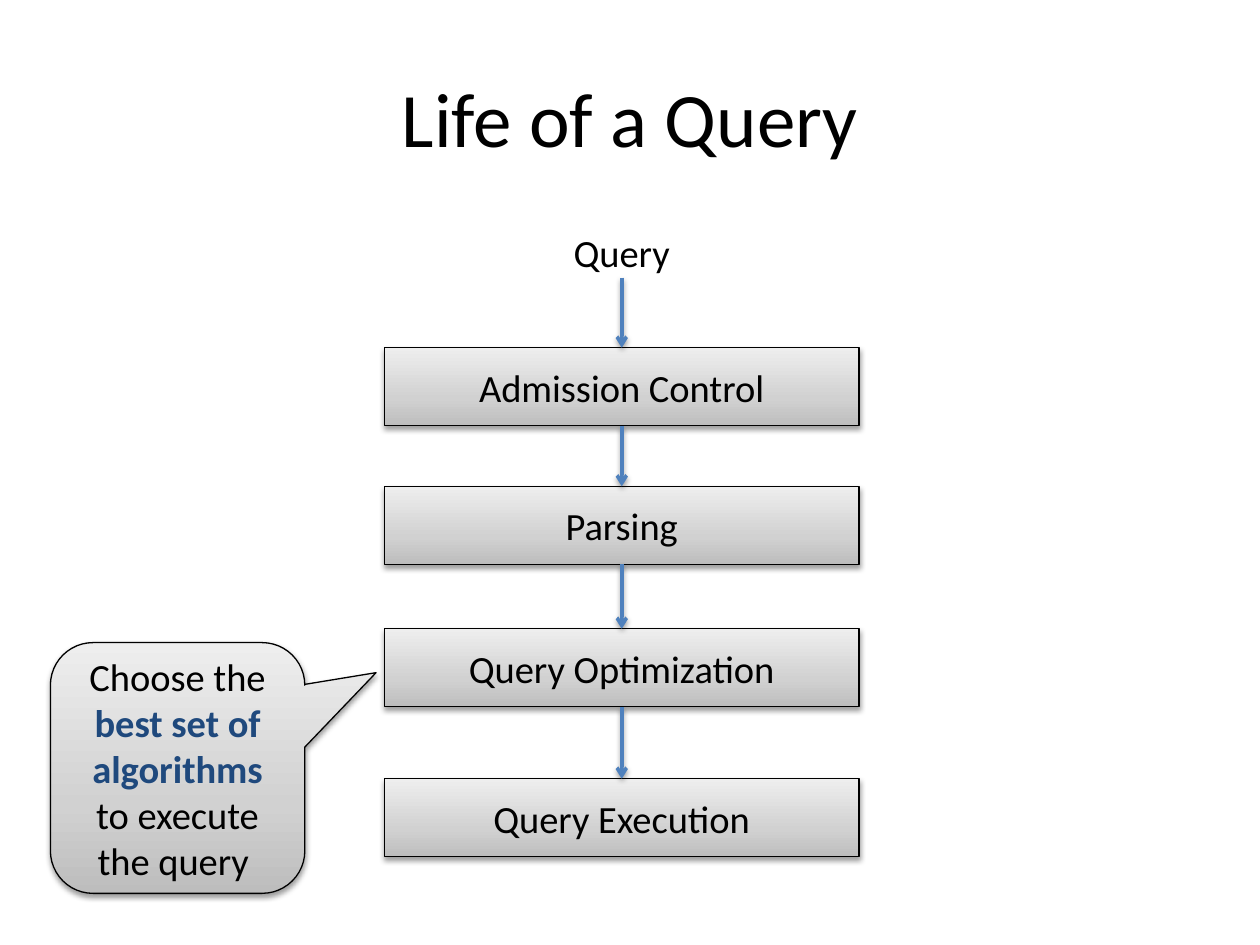
import copy

import pptx
import pptx.dml.color
import pptx.enum.shapes
import pptx.enum.text
import pptx.oxml
import pptx.oxml.ns
import pptx.util

Pt = pptx.util.Pt
RGBColor = pptx.dml.color.RGBColor
MSO_SHAPE = pptx.enum.shapes.MSO_SHAPE
MSO_ANCHOR = pptx.enum.text.MSO_ANCHOR
qn = pptx.oxml.ns.qn

FONT = "Calibri"
BLACK = RGBColor(0x00, 0x00, 0x00)
ARROW_BLUE = RGBColor(0x4F, 0x81, 0xBD)
EMPHASIS_BLUE = RGBColor(0x1F, 0x49, 0x7D)
GRAY_STOPS = [
    (0, RGBColor(0xBD, 0xBD, 0xBD)),
    (0.35, RGBColor(0xD1, 0xD1, 0xD1)),
    (1, RGBColor(0xEE, 0xEE, 0xEE)),
]
BODY_SIZE = 22

STEP_TOPS = {
    "Admission Control": 198.7,
    "Parsing": 277.9,
    "Query Optimization": 359.3,
    "Query Execution": 445,
}
STEP_HEIGHT = 44.6


def add_runs(text_frame, runs, size=BODY_SIZE):
    """Fill the first paragraph with centred (text, colour, bold) runs."""
    paragraph = text_frame.paragraphs[0]
    paragraph.alignment = pptx.enum.text.PP_ALIGN.CENTER
    for text, color, bold in runs:
        run = paragraph.add_run()
        run.text = text
        run.font.name = FONT
        run.font.size = Pt(size)
        run.font.bold = bold
        run.font.color.rgb = color


def add_shadow(shape):
    """Append a soft downward shadow; call after fill and line are set."""
    shape._element.spPr.append(pptx.oxml.parse_xml(
        f'<a:effectLst {pptx.oxml.ns.nsdecls("a")}>'
        f'<a:outerShdw blurRad="{Pt(3.1)}" dist="{Pt(1.6)}" dir="5400000" rotWithShape="0">'
        '<a:srgbClr val="000000"><a:alpha val="38000"/></a:srgbClr>'
        '</a:outerShdw></a:effectLst>'))


def add_gray_shape(slide, kind, box, runs):
    shape = slide.shapes.add_shape(kind, *map(Pt, box))
    shape.fill.gradient()
    shape.fill.gradient_angle = 90
    stop_list = shape._element.spPr.find(qn("a:gradFill")).find(qn("a:gsLst"))
    stop_list.append(copy.deepcopy(stop_list[0]))
    for stop, (position, color) in zip(shape.fill.gradient_stops, GRAY_STOPS):
        stop.position = position
        stop.color.rgb = color
    shape.line.color.rgb = BLACK
    shape.line.width = Pt(0.75)
    add_shadow(shape)
    shape.text_frame.word_wrap = True
    shape.text_frame.vertical_anchor = MSO_ANCHOR.MIDDLE
    add_runs(shape.text_frame, runs)
    return shape


def add_arrow(slide, center, top, target, source=None):
    """Point down at the target's top, from the source's bottom if there is one."""
    connector = slide.shapes.add_connector(
        pptx.enum.shapes.MSO_CONNECTOR.STRAIGHT, Pt(center), Pt(top), Pt(center), target.top)
    if source is not None:
        connector.begin_connect(source, 2)
    connector.end_connect(target, 0)
    connector.line.color.rgb = ARROW_BLUE
    connector.line.width = Pt(2)
    connector.line._get_or_add_ln().append(pptx.oxml.parse_xml(
        f'<a:tailEnd {pptx.oxml.ns.nsdecls("a")} type="arrow"/>'))
    add_shadow(connector)


def add_title(slide, box):
    title = slide.shapes.title
    title.left, title.top, title.width, title.height = map(Pt, box)
    title.text_frame.vertical_anchor = MSO_ANCHOR.MIDDLE
    add_runs(title.text_frame, [("Life of a Query", BLACK, False)], size=44)


def add_query_label(slide, box):
    label = slide.shapes.add_textbox(*map(Pt, box))
    label.text_frame.word_wrap = False
    label.text_frame.auto_size = pptx.enum.text.MSO_AUTO_SIZE.SHAPE_TO_FIT_TEXT
    add_runs(label.text_frame, [("Query", BLACK, False)])


def add_pipeline(slide, box):
    """Stack the steps below the box's top, where the first arrow starts."""
    left, top, width = box
    steps = [
        add_gray_shape(slide, MSO_SHAPE.RECTANGLE, (left, step_top, width, STEP_HEIGHT),
                       [(name, BLACK, False)])
        for name, step_top in STEP_TOPS.items()
    ]
    center = left + width / 2
    for source, target in zip([None] + steps, steps):
        add_arrow(slide, center, top, target, source)


def add_callout(slide, box):
    callout = add_gray_shape(slide, MSO_SHAPE.ROUNDED_RECTANGULAR_CALLOUT, box, [
        ("Choose the ", BLACK, False),
        ("best set of algorithms ", EMPHASIS_BLUE, True),
        ("to execute the query ", BLACK, False),
    ])
    for index, value in enumerate((0.78, -0.38, 0.17)):
        callout.adjustments[index] = value


def main():
    presentation = pptx.Presentation()
    presentation.slide_width = Pt(720)
    presentation.slide_height = Pt(540)
    slide = presentation.slides.add_slide(presentation.slide_layouts[5])
    add_title(slide, (36, 21.6, 648, 90))
    add_pipeline(slide, (219.6, 158.6, 271.4))
    add_query_label(slide, (320.4, 127.4, 69.8, 33.8))
    add_callout(slide, (28.8, 367.2, 145.4, 143.3))
    presentation.save("out.pptx")


if __name__ == "__main__":
    main()
